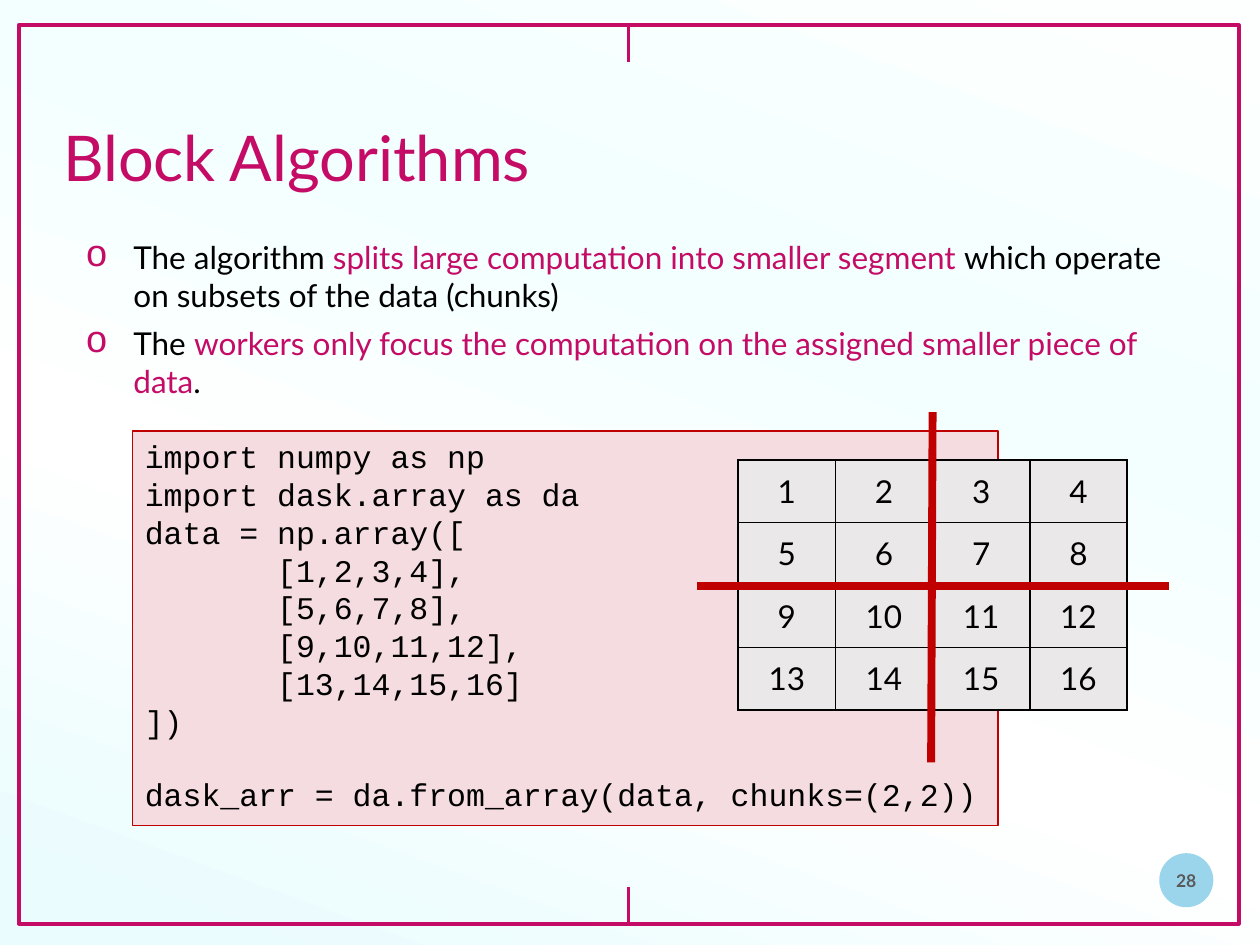
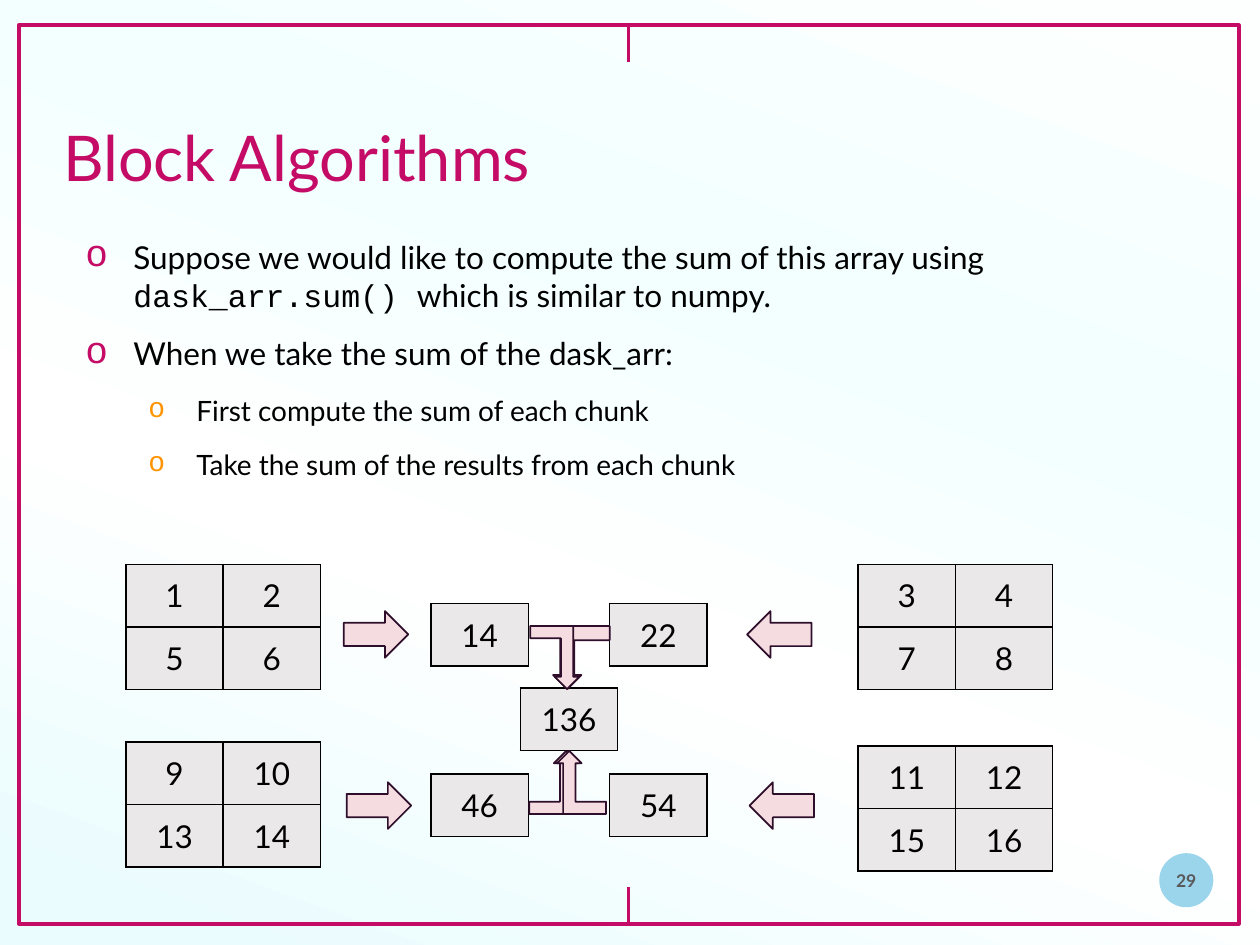
import pptx
import pptx.util
import pptx.dml.color
import pptx.enum.shapes
import pptx.enum.text
import pptx.oxml
import pptx.oxml.ns
from lxml import etree

Cm, Pt = pptx.util.Cm, pptx.util.Pt
qn = pptx.oxml.ns.qn
SHAPE = pptx.enum.shapes.MSO_SHAPE
ALIGN = pptx.enum.text.PP_ALIGN
ANCHOR = pptx.enum.text.MSO_ANCHOR

COLORS = {
    "accent": "C40C67", "text": "000000", "number": "595959", "badge": "0696D0",
    "sub_bullet": "FF9300", "panel": "F4DCE0", "cut": "C00000",
    "cell": "EBE8EA", "arrow_line": "2E0E2A",
}
BACKGROUND = [(5, "EAFCFE"), (38, "FFFFFF"), (66, "F3FFFF"), (99, "FDFFFE")]
SANS, MONO = "Lato", "Courier New"

# Content
TITLE = "Block Algorithms"
FIRST_NUMBER = 28

# Each bullet: level, runs of (text, colour, font)
SPLIT_BULLETS = [
    (1, [("The algorithm ", "text", SANS),
         ("splits large computation into smaller segment ", "accent", SANS),
         ("which operate on subsets of the data (chunks)", "text", SANS)]),
    (1, [("The ", "text", SANS),
         ("workers only focus the computation on the assigned smaller piece of data",
          "accent", SANS),
         (".", "text", SANS)]),
]
SUM_BULLETS = [
    (1, [("Suppose we would like to compute the sum of this array using ", "text", SANS),
         ("dask_arr.sum() ", "text", MONO),
         ("which is similar to numpy.", "text", SANS)]),
    (1, [("When we take the sum of the dask_arr:", "text", SANS)]),
    (2, [("First compute the sum of each chunk", "text", SANS)]),
    (2, [("Take the sum of the results from each chunk", "text", SANS)]),
]
CODE_BLOCKS = [
    ["import numpy as np",
     "import dask.array as da",
     "data = np.array([",
     "       [1,2,3,4],",
     "       [5,6,7,8],",
     "       [9,10,11,12],",
     "       [13,14,15,16]",
     "])"],
    ["dask_arr = da.from_array(data, chunks=(2,2))"],
]
ARRAY = [[4 * row + col + 1 for col in range(4)] for row in range(4)]

# Places, in cm
CELL_W, CELL_H = 1.96, 1.26
ARRAY_AT = (14.88, 9.27)
CUT_LINES = [(18.8, 8.31, 18.77, 15.37), (14.05, 11.81, 23.57, 11.81)]
CHUNK_X = (2.54, 17.3)
CHUNK_Y = ((11.38, 11.38), (14.96, 15.04))
SUM_X, SUM_Y = (8.69, 12.29), (12.17, 15.6)
TOTAL_AT = (10.49, 13.87)
# Arrows: preset, box, rotation, mirrored
ARROWS = [
    (SHAPE.RIGHT_ARROW, (6.93, 12.32, 1.3, 0.94), 0, False),
    (SHAPE.RIGHT_ARROW, (6.99, 15.77, 1.3, 0.94), 0, False),
    (SHAPE.RIGHT_ARROW, (15.06, 12.32, 1.3, 0.94), 180, False),
    (SHAPE.RIGHT_ARROW, (15.11, 15.77, 1.3, 0.94), 180, False),
    (SHAPE.BENT_UP_ARROW, (11.15, 12.62, 1.14, 1.27), 180, False),
    (SHAPE.BENT_UP_ARROW, (10.69, 12.62, 0.99, 1.27), 180, True),
    (SHAPE.BENT_UP_ARROW, (10.67, 15.14, 0.99, 1.27), 0, False),
    (SHAPE.BENT_UP_ARROW, (11.23, 15.14, 0.99, 1.27), 0, True),
]


def rgb(name):
    return pptx.dml.color.RGBColor.from_string(COLORS[name])


def cm(values):
    return [Cm(v) for v in values]


def sub(parent, tag, **attrs):
    return etree.SubElement(parent, qn(tag), **attrs)


def add_run(p, text, size, color="text", font=SANS, bold=False):
    r = p.add_run()
    r.text = text
    r.font.size, r.font.name, r.font.bold = Pt(size), font, bold
    r.font.color.rgb = rgb(color)


def add_shape(s, preset, box, fill=None, line=None, width=1):
    sp = s.shapes.add_shape(preset, *cm(box))
    sp.shadow.inherit = False
    if fill:
        sp.fill.solid()
        sp.fill.fore_color.rgb = rgb(fill)
    else:
        sp.fill.background()
    if line:
        sp.line.color.rgb = rgb(line)
        sp.line.width = Pt(width)
    else:
        sp.line.fill.background()
    return sp


def add_line(s, ends, color, width):
    line = s.shapes.add_connector(pptx.enum.shapes.MSO_CONNECTOR.STRAIGHT, *cm(ends))
    line.line.color.rgb = rgb(color)
    line.line.width = Pt(width)
    sub(line._element.spPr, "a:effectLst")


def add_background(s):
    fill = s.background.fill
    fill.gradient()
    fill.gradient_angle = 70
    stops = s.element.find(".//" + qn("a:gsLst"))
    for gs in list(stops):
        stops.remove(gs)
    for pos, color in BACKGROUND:
        sub(sub(stops, "a:gs", pos=str(pos * 1000)), "a:srgbClr", val=color)


def new_slide(prs, number):
    s = prs.slides.add_slide(prs.slide_layouts[5])
    add_background(s)

    # Frame with its two ticks
    add_shape(s, SHAPE.RECTANGLE, (0.38, 0.51, 24.59, 18.11), line="accent", width=2.25)
    for top, bottom in ((0.51, 1.24), (17.88, 18.62)):
        add_line(s, (12.67, top, 12.67, bottom), "accent", 2.25)

    # Slide number badge
    badge = add_shape(s, SHAPE.OVAL, (23.37, 17.2, 1.09, 1.09), fill="badge")
    color = badge._element.spPr.find(qn("a:solidFill")).find(qn("a:srgbClr"))
    sub(color, "a:alpha", val="40000")
    tf = badge.text_frame
    tf.margin_left = tf.margin_right = tf.margin_top = tf.margin_bottom = 0
    tf.vertical_anchor = ANCHOR.MIDDLE
    tf.paragraphs[0].alignment = ALIGN.CENTER
    add_run(tf.paragraphs[0], str(number), 10, "number", bold=True)

    # Title
    title = s.shapes.title
    title.left, title.top, title.width, title.height = cm((1.02, 2.26, 23.24, 2.11))
    tf = title.text_frame
    tf.auto_size = pptx.enum.text.MSO_AUTO_SIZE.NONE
    tf.vertical_anchor = ANCHOR.TOP
    tf.paragraphs[0].alignment = ALIGN.LEFT
    add_run(tf.paragraphs[0], TITLE, 36, "accent")
    return s


def add_bullets(s, bullets, space_after):
    tf = s.shapes.add_textbox(*cm((1.02, 4.67, 23.24, 12.55))).text_frame
    tf.word_wrap = True
    for i, (level, runs) in enumerate(bullets):
        p = tf.paragraphs[0] if i == 0 else tf.add_paragraph()
        p.level = level - 1
        pPr = p._p.get_or_add_pPr()
        pPr.set("marL", str(Cm(1.42 if level == 1 else 2.69)))
        pPr.set("indent", str(-Cm(0.97)))
        color = COLORS["accent" if level == 1 else "sub_bullet"]
        sub(sub(pPr, "a:buClr"), "a:srgbClr", val=color)
        sub(pPr, "a:buSzPct", val="120000" if level == 1 else "100000")
        sub(pPr, "a:buFont", typeface=MONO)
        sub(pPr, "a:buChar", char="o")
        p.space_after = Pt(space_after)
        for text, color, font in runs:
            add_run(p, text, 18 if level == 1 else 16, color, font)


def add_code(s):
    sp = add_shape(s, SHAPE.RECTANGLE, (2.67, 8.69, 17.45, 7.95), "panel", "cut", 0.75)
    tf = sp.text_frame
    tf.word_wrap = True
    tf.vertical_anchor = ANCHOR.TOP
    for b, block in enumerate(CODE_BLOCKS):
        for i, text in enumerate(block):
            p = tf.paragraphs[0] if b == i == 0 else tf.add_paragraph()
            p.alignment = ALIGN.LEFT
            if b and i == 0:
                p.space_before = Pt(20.4)
            add_run(p, text, 18, font=MONO)


def add_grid(s, at, rows):
    n_rows, n_cols = len(rows), len(rows[0])
    box = (*at, n_cols * CELL_W, n_rows * CELL_H)
    table = s.shapes.add_table(n_rows, n_cols, *cm(box)).table
    table.first_row = table.horz_banding = False
    for col in table.columns:
        col.width = Cm(CELL_W)
    for row, values in zip(table.rows, rows):
        row.height = Cm(CELL_H)
        for cell, value in zip(row.cells, values):
            tcPr = cell._tc.get_or_add_tcPr()
            for side in ("a:lnL", "a:lnR", "a:lnT", "a:lnB"):
                border = sub(tcPr, side, w=str(Pt(1)))
                sub(sub(border, "a:solidFill"), "a:srgbClr", val=COLORS["text"])
            cell.fill.solid()
            cell.fill.fore_color.rgb = rgb("cell")
            cell.vertical_anchor = ANCHOR.MIDDLE
            p = cell.text_frame.paragraphs[0]
            p.alignment = ALIGN.CENTER
            add_run(p, str(value), 18)


def build_split_slide(prs):
    s = new_slide(prs, FIRST_NUMBER)
    add_bullets(s, SPLIT_BULLETS, 6)
    add_code(s)
    add_grid(s, ARRAY_AT, ARRAY)
    for ends in CUT_LINES:
        add_line(s, ends, "cut", 4.5)


def build_sum_slide(prs):
    s = new_slide(prs, FIRST_NUMBER + 1)
    add_bullets(s, SUM_BULLETS, 12)

    # Chunks, their sums and the total
    for i in range(2):
        for j in range(2):
            chunk = [row[2 * j:2 * j + 2] for row in ARRAY[2 * i:2 * i + 2]]
            add_grid(s, (CHUNK_X[j], CHUNK_Y[i][j]), chunk)
            add_grid(s, (SUM_X[j], SUM_Y[i]), [[sum(map(sum, chunk))]])
    add_grid(s, TOTAL_AT, [[sum(map(sum, ARRAY))]])

    # Arrows from chunks to sums to total
    for preset, box, rotation, mirrored in ARROWS:
        sp = add_shape(s, preset, box, "panel", "arrow_line")
        sp.rotation = rotation
        if mirrored:
            sp._element.spPr.find(qn("a:xfrm")).set("flipH", "1")


def main():
    prs = pptx.Presentation()
    prs.slide_width, prs.slide_height = Cm(25.4), Cm(19.05)
    build_split_slide(prs)
    build_sum_slide(prs)
    prs.save("out.pptx")


if __name__ == "__main__":
    main()
